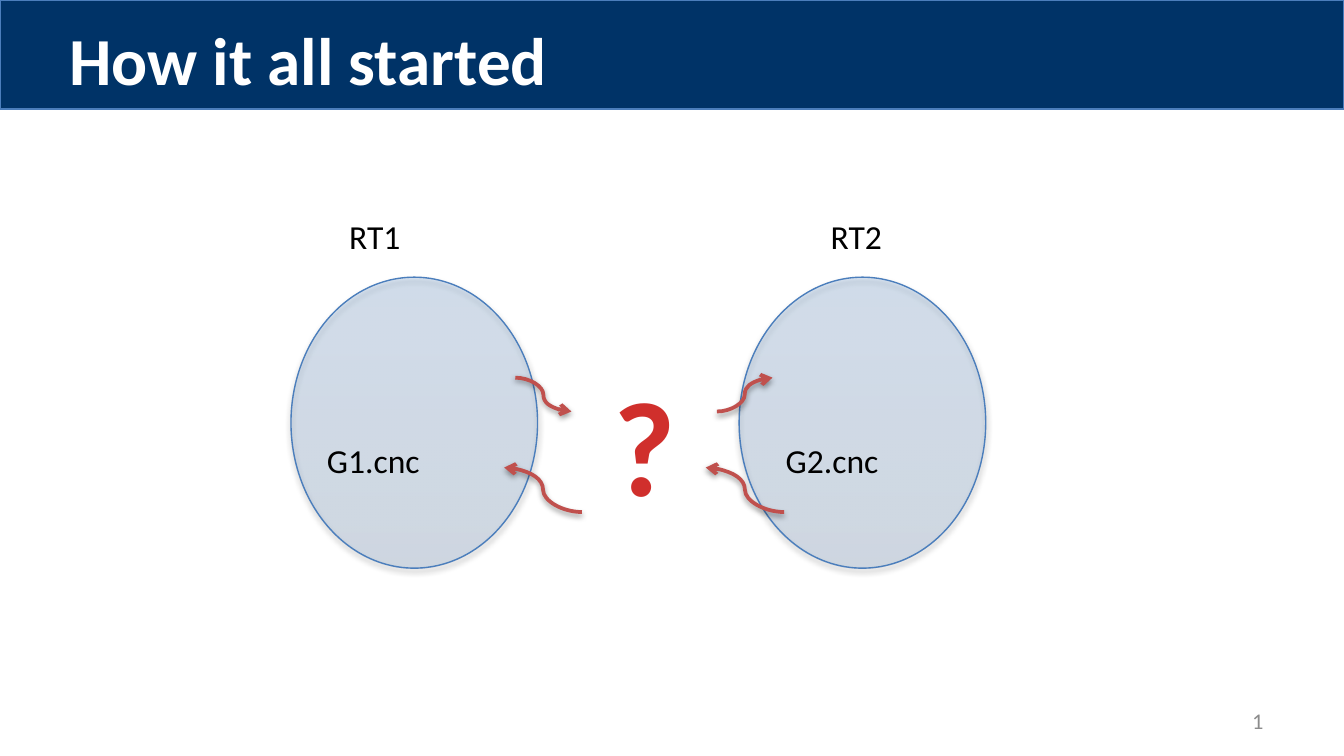
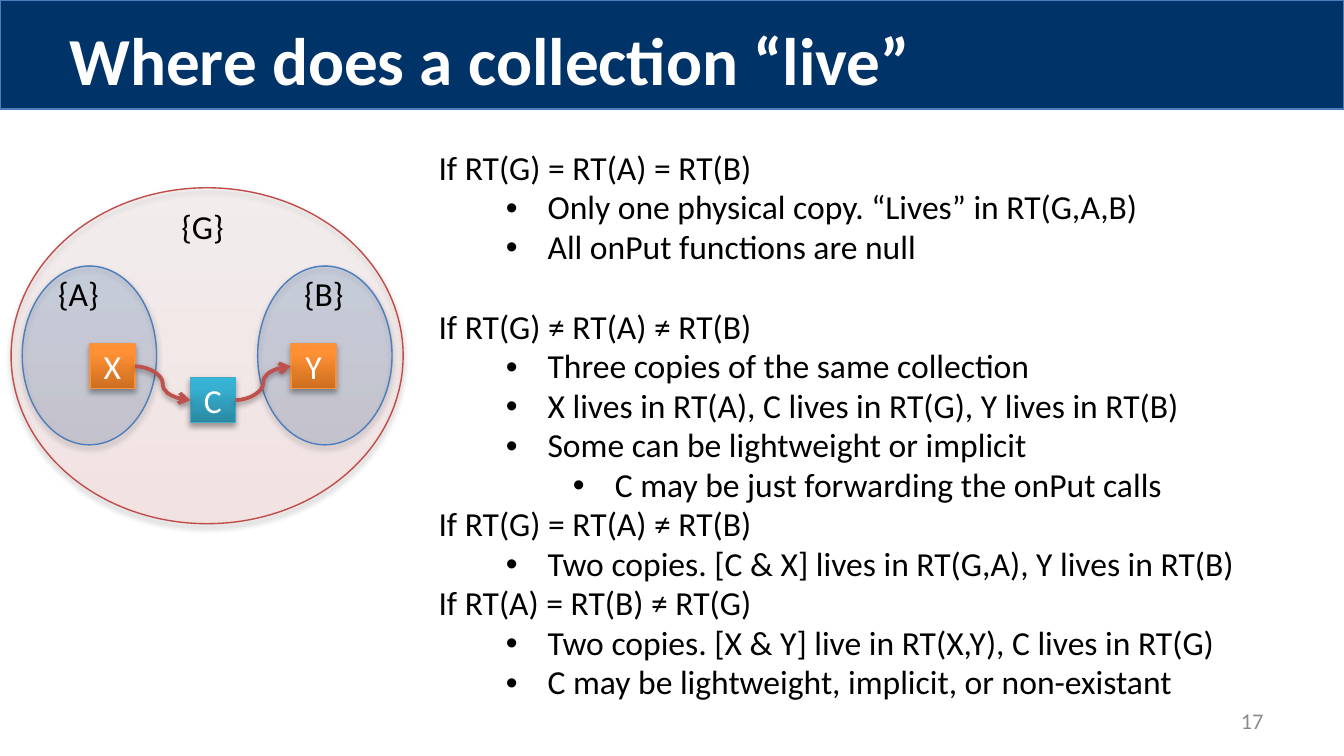
from lxml import etree
from pptx import Presentation
from pptx.dml.color import RGBColor
from pptx.enum.shapes import MSO_CONNECTOR, MSO_SHAPE
from pptx.enum.text import MSO_ANCHOR, PP_ALIGN
from pptx.oxml.ns import qn
from pptx.util import Cm, Pt

OVAL, RECT = MSO_SHAPE.OVAL, MSO_SHAPE.RECTANGLE
CURVE = MSO_CONNECTOR.CURVE
LEFT, CENTER, RIGHT = PP_ALIGN.LEFT, PP_ALIGN.CENTER, PP_ALIGN.RIGHT
MIDDLE, TOP = MSO_ANCHOR.MIDDLE, MSO_ANCHOR.TOP
LEFT_SITE, RIGHT_SITE = 1, 3

FONT = "Calibri"
COLORS = {
    "band": "003367", "blue": "4B7EBC", "red": "BF4C48", "arrow": "C0504D",
    "orange": "F69240", "teal": "46AAC5", "text": "000000", "white": "FFFFFF",
    "number": "8C8C8C", "shadow": "000000",
}
# Stops as (position, colour) in percent, then opacity in percent
GRADIENTS = {
    "blue": ([(0, "2F5F99"), (80, "3D7CC7"), (100, "3A7CCB")], 17),
    "red": ([(0, "FFA6A5"), (35, "FFC0BF"), (100, "FFE7E7")], 18),
    "orange": ([(0, "CC6E20"), (80, "FF9034"), (100, "FF9136")], 100),
    "teal": ([(0, "2A88A2"), (80, "37B1D2"), (100, "34B4D6")], 100),
    "question": ([(0, "FC7C7A"), (75, "D02F2C"), (100, "C70500")], 100),
}

# Slide 1: two runtimes, positions in cm
RUNTIMES = [(5.5, 5.24, 4.66, 5.5), (13.97, 5.24, 4.66, 5.5)]
RUNTIME_LABELS = [
    ("RT1", 6.35, 3.96, 1.5), ("RT2", 15.45, 3.96, 1.5),
    ("G1.cnc", 5.93, 8.2, 2.29), ("G2.cnc", 14.6, 8.2, 2.29),
]
RUNTIME_ARROWS = [
    (9.74, 7.14, 10.8, 7.78), (13.55, 7.78, 14.6, 7.14),
    (11, 9.68, 9.53, 8.84), (14.82, 9.68, 13.34, 8.84),
]

# Slide 2: nested graphs and the collections in them
GRAPHS = [
    ("red", (0.21, 3.55, 7.41, 6.35)),
    ("blue", (0.42, 5.03, 2.54, 3.38)),
    ("blue", (4.87, 5.03, 2.54, 3.38)),
]
GRAPH_LABELS = [("{G}", 3.18, 3.76, 1.32), ("{A}", 0.85, 5.03, 1.3),
                ("{B}", 5.5, 5.03, 1.27)]
COLLECTION_SIDE = 0.85
COLLECTIONS = [("X", "orange", 1.7, 6.5), ("C", "teal", 3.6, 7.14),
               ("Y", "orange", 5.5, 6.5)]
CASES = [
    (0, "If RT(G) = RT(A) = RT(B)"),
    (1, "Only one physical copy. “Lives” in RT(G,A,B)"),
    (1, "All onPut functions are null"),
    (0, "If RT(G) ≠ RT(A) ≠ RT(B)"),
    (1, "Three copies of the same collection"),
    (1, "X lives in RT(A), C lives in RT(G), Y lives in RT(B)"),
    (1, "Some can be lightweight or implicit"),
    (2, "C may be just forwarding the onPut calls"),
    (0, "If RT(G) = RT(A) ≠ RT(B)"),
    (1, "Two copies. [C & X] lives in RT(G,A), Y lives in RT(B)"),
    (0, "If RT(A) = RT(B) ≠ RT(G)"),
    (1, "Two copies. [X & Y] live in RT(X,Y), C lives in RT(G)"),
    (1, "C may be lightweight, implicit, or non-existant"),
]
SPACED_CASE = 3  # the case set apart by one empty line


def color(name):
    return RGBColor.from_string(COLORS[name])


def add_color(parent, hex_value, opacity):
    element = etree.SubElement(parent, qn("a:srgbClr"), val=hex_value)
    if opacity < 100:
        etree.SubElement(element, qn("a:alpha"), val=str(opacity * 1000))


def paint_gradient(fill, owner, name, angle):
    """Replace the default stops; owner is the element that holds the fill."""
    stops, opacity = GRADIENTS[name]
    fill.gradient()
    gradient = owner.find(qn("a:gradFill"))
    for child in list(gradient):
        gradient.remove(child)
    stop_list = etree.SubElement(gradient, qn("a:gsLst"))
    for position, hex_value in stops:
        stop = etree.SubElement(stop_list, qn("a:gs"), pos=str(position * 1000))
        add_color(stop, hex_value, opacity)
    etree.SubElement(gradient, qn("a:lin"), ang=str(angle * 60000), scaled="0")


def add_shadow(properties, opacity, distance):
    effects = properties.find(qn("a:effectLst"))
    if effects is None:
        effects = etree.SubElement(properties, qn("a:effectLst"))
    shadow = etree.SubElement(
        effects, qn("a:outerShdw"), blurRad=str(Pt(3.1)), dist=str(Pt(distance)),
        dir="5400000", rotWithShape="0")
    add_color(shadow, COLORS["shadow"], opacity)


def style_font(font, size, color_name, bold=False):
    font.name, font.size, font.bold = FONT, Pt(size), bold
    font.color.rgb = color(color_name)


def add_text(page, text, area, size=18, color_name="text", bold=False,
             align=LEFT, anchor=TOP, wrap=True):
    box = page.shapes.add_textbox(*map(Cm, area))
    frame = box.text_frame
    frame.word_wrap, frame.vertical_anchor = wrap, anchor
    frame.text = text
    para = frame.paragraphs[0]
    para.alignment = align
    style_font(para.runs[0].font, size, color_name, bold)
    return box


def add_labels(page, labels):
    for text, left, top, width in labels:
        add_text(page, text, (left, top, width, 1.02), wrap=False)


def add_outlined(page, kind, area, line_name):
    shape = page.shapes.add_shape(kind, *map(Cm, area))
    shape.shadow.inherit = False
    shape.line.color.rgb = color(line_name)
    shape.line.width = Pt(0.75)
    return shape


def add_glossy(page, kind, area, name, shadow=(35, 1.8)):
    shape = add_outlined(page, kind, area, name)
    properties = shape._element.spPr
    paint_gradient(shape.fill, properties, name, 270)
    add_shadow(properties, *shadow)
    return shape


def add_arrow(page, ends):
    arrow = page.shapes.add_connector(CURVE, *map(Cm, ends))
    arrow.line.color.rgb = color("arrow")
    arrow.line.width = Pt(2)
    etree.SubElement(arrow.line._get_or_add_ln(), qn("a:tailEnd"), type="arrow")
    add_shadow(arrow._element.spPr, 38, 1.6)
    return arrow


def add_page(deck, title, number):
    page = deck.slides.add_slide(deck.slide_layouts[6])
    band = add_outlined(page, RECT, (0, 0, 25.4, 2.06), "blue")
    band.fill.solid()
    band.fill.fore_color.rgb = color("band")
    add_text(page, title, (1.06, 0.23, 23.3, 1.8), 36, "white", bold=True)
    add_text(page, number, (18.2, 13.24, 5.93, 0.76), 12, "number",
             align=RIGHT, anchor=MIDDLE)
    return page


def build_start(deck):
    page = add_page(deck, "How it all started", "1")
    for area in RUNTIMES:
        add_glossy(page, OVAL, area, "blue")
    for ends in RUNTIME_ARROWS:
        add_arrow(page, ends)
    add_labels(page, RUNTIME_LABELS)
    question = add_text(page, "?", (11.22, 6.73, 1.91, 3.33), 72, bold=True,
                        align=CENTER)
    span = question.text_frame.paragraphs[0].runs[0]
    paint_gradient(span.font.fill, span._r.rPr, "question", 90)


def add_collection(page, text, name, left, top):
    square = add_glossy(
        page, RECT, (left, top, COLLECTION_SIDE, COLLECTION_SIDE), name)
    frame = square.text_frame
    frame.margin_left = frame.margin_right = 0
    frame.margin_top = frame.margin_bottom = 0
    frame.vertical_anchor = MIDDLE
    frame.text = text
    para = frame.paragraphs[0]
    para.alignment = CENTER
    style_font(para.runs[0].font, 18, "white")
    return square


def add_cases(page):
    box = page.shapes.add_textbox(Cm(8.04), Cm(2.69), Cm(16.3), Cm(10.8))
    frame = box.text_frame
    frame.word_wrap = True
    for index, (level, text) in enumerate(CASES):
        para = frame.add_paragraph() if index else frame.paragraphs[0]
        para.text = text
        para.level = level
        para.line_spacing = 0.98
        if index == SPACED_CASE:
            para.space_before = Pt(21.5)
        if level:
            properties = para._p.get_or_add_pPr()
            properties.set("marL", str(Cm(2.06 + 1.27 * (level - 1))))
            properties.set("indent", str(Cm(-0.79)))
            etree.SubElement(properties, qn("a:buFont"), typeface="Arial")
            etree.SubElement(properties, qn("a:buChar"), char="•")
        style_font(para.runs[0].font, 18, "text")


def build_collection(deck):
    page = add_page(deck, "Where does a collection “live”", "17")
    for name, area in GRAPHS:
        add_glossy(page, OVAL, area, name)
    squares = [add_collection(page, *item) for item in COLLECTIONS]
    for source, target in zip(squares, squares[1:]):
        arrow = add_arrow(page, (0, 0, 1, 1))
        arrow.begin_connect(source, RIGHT_SITE)
        arrow.end_connect(target, LEFT_SITE)
    add_labels(page, GRAPH_LABELS)
    add_cases(page)


def main():
    deck = Presentation()
    deck.slide_width, deck.slide_height = Cm(25.4), Cm(14.29)
    build_start(deck)
    build_collection(deck)
    deck.save("out.pptx")


if __name__ == "__main__":
    main()
